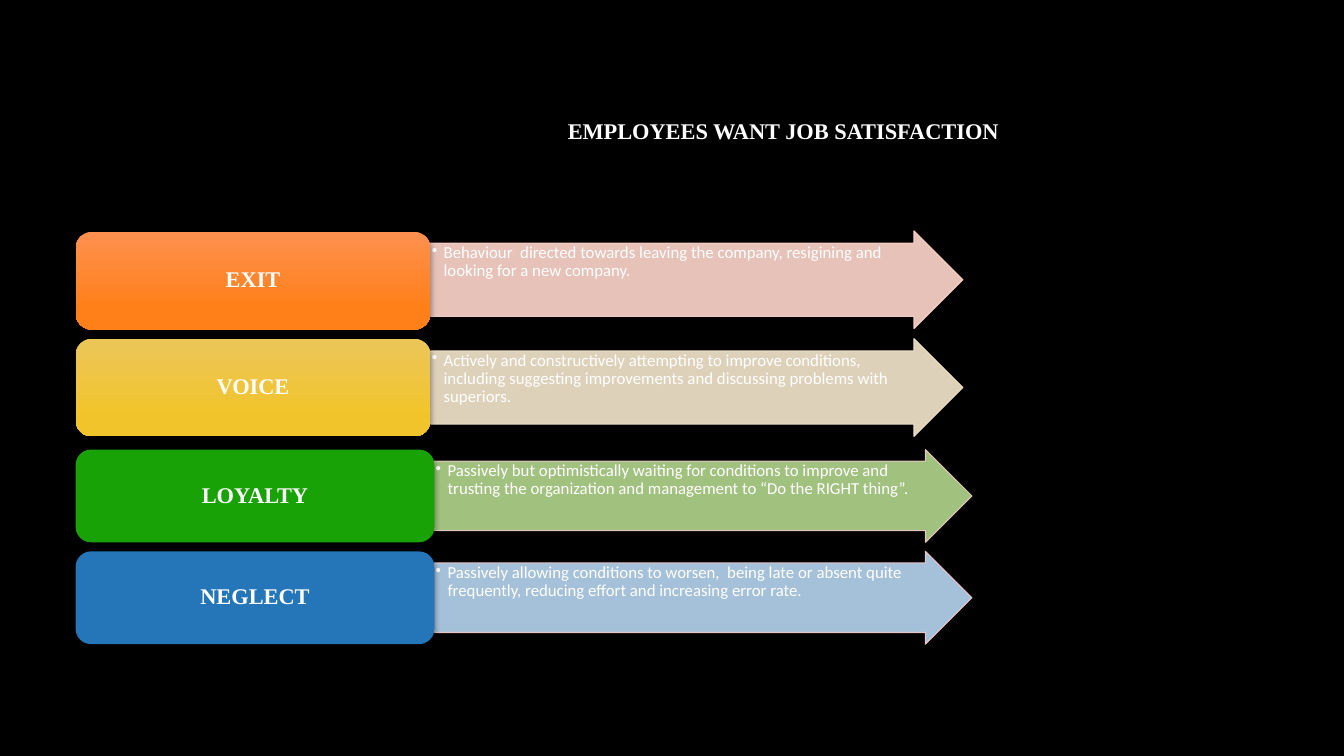
import pptx
import pptx.util
import pptx.dml.color
import pptx.enum.shapes
import pptx.enum.text
import pptx.oxml.ns
from lxml import etree

Inches, Pt = pptx.util.Inches, pptx.util.Pt
RGB = pptx.dml.color.RGBColor.from_string
SHAPE = pptx.enum.shapes.MSO_SHAPE
ANCHOR = pptx.enum.text.MSO_ANCHOR
ALIGN = pptx.enum.text.PP_ALIGN
qn = pptx.oxml.ns.qn

THEME = {
    "background": "000000", "text": "FFFFFF", "shadow": "000000",
    "heading_font": "Times New Roman", "body_font": "Calibri",
    "heading_size": 16, "body_size": 12, "outline": 0.75,
}
LEFT = 0.75

# Each pair of responses: box width, arrow width, row height,
# then first top and row pitch of the arrows and of the boxes
PAIRS = [
    (3.52, 5.28, 0.97, (2.29, 1.07), (2.30, 1.06)),
    (3.56, 5.33, 0.92, (4.46, 1.01), (4.46, 1.01)),
]
# Response, meaning, box colours (top to bottom), arrow fill, arrow outline
RESPONSES = [
    ("EXIT", "Behaviour  directed towards leaving the company, resigining and "
     "looking for a new company.", ("FE904F", "FF8019"), "FFD8CD", "FFD8CD"),
    ("VOICE", "Actively and constructively attempting to improve conditions, "
     "including suggesting improvements and discussing problems with superiors.",
     ("EBC659", "F2C42C"), "F7E8CE", "F7E8CE"),
    ("LOYALTY", "Passively but optimistically waiting for conditions to improve and "
     "trusting the organization and management to “Do the RIGHT thing”.",
     ("19A206",), "B3D78D", "F3CDCD"),
    ("NEGLECT", "Passively allowing conditions to worsen,  being late or absent quite "
     "frequently, reducing effort and increasing error rate.",
     ("2476B9",), "B7D7F1", "F3CDCD"),
]


def write(holder, words, role, align, anchor, insets):
    """Put one styled paragraph in a shape; insets are left, top, right, bottom."""
    frame = holder.text_frame
    frame.word_wrap = True
    frame.vertical_anchor = anchor
    (frame.margin_left, frame.margin_top,
     frame.margin_right, frame.margin_bottom) = map(Inches, insets)
    paragraph = frame.paragraphs[0]
    paragraph.alignment = align
    paragraph.line_spacing = 0.9
    run = paragraph.add_run()
    run.text = words
    run.font.name = THEME[role + "_font"]
    run.font.size = Pt(THEME[role + "_size"])
    run.font.bold = role == "heading"
    run.font.color.rgb = RGB(THEME["text"])
    return paragraph


deck = pptx.Presentation()
deck.slide_width, deck.slide_height = Inches(13.33), Inches(7.5)
slide = deck.slides.add_slide(deck.slide_layouts[6])
slide.background.fill.solid()
slide.background.fill.fore_color.rgb = RGB(THEME["background"])

# Title
title = slide.shapes.add_textbox(*map(Inches, (3.17, 0.84, 9.42, 0.76)))
write(title, "EMPLOYEES WANT JOB SATISFACTION", "heading", ALIGN.CENTER,
      ANCHOR.MIDDLE, (0.1, 0.23, 0.32, 0.05))

# Responses: an arrow with the meaning, starting at the box with the name
for index, (name, meaning, box_colours, arrow_fill, outline) in enumerate(RESPONSES):
    pair, row = divmod(index, 2)
    box_width, arrow_width, height, arrow_rows, box_rows = PAIRS[pair]
    arrow_top, box_top = (first + row * pitch for first, pitch in (arrow_rows, box_rows))

    # Arrow, slightly transparent
    arrow = slide.shapes.add_shape(SHAPE.RIGHT_ARROW, *map(
        Inches, (LEFT + box_width, arrow_top, arrow_width, height)))
    arrow.adjustments[0], arrow.adjustments[1] = 0.75, 0.5
    arrow.shadow.inherit = False
    arrow.fill.solid()
    arrow.fill.fore_color.rgb = RGB(arrow_fill)
    arrow.line.color.rgb = RGB(outline)
    arrow.line.width = Pt(THEME["outline"])
    for colour in arrow.element.spPr.iter(qn("a:srgbClr")):
        etree.SubElement(colour, qn("a:alpha"), val="90000")

    # Meaning as a bullet
    bullet = write(arrow, meaning, "body", ALIGN.LEFT, ANCHOR.TOP, (0.01,) * 4)
    bullet.level = 1
    properties = bullet._p.get_or_add_pPr()
    properties.set("marL", str(Inches(0.12)))
    properties.set("indent", str(Inches(-0.12)))
    etree.SubElement(properties, qn("a:buChar"), char="•")

    # Box, plain or shaded from top to bottom
    box = slide.shapes.add_shape(SHAPE.ROUNDED_RECTANGLE, *map(
        Inches, (LEFT, box_top, box_width, height)))
    box.line.fill.background()
    if len(box_colours) == 1:
        box.fill.solid()
        box.fill.fore_color.rgb = RGB(box_colours[0])
    else:
        box.fill.gradient()
        box.fill.gradient_angle = 270
        for stop, colour, position in zip(box.fill.gradient_stops, box_colours, (0, 0.78)):
            stop.color.rgb = RGB(colour)
            stop.position = position
    write(box, name, "heading", ALIGN.CENTER, ANCHOR.MIDDLE, (0.07, 0.03, 0.07, 0.03))

    # Soft shadow that falls on the arrow
    box.shadow.inherit = False
    effects = box.element.spPr.find(qn("a:effectLst"))
    shadow = etree.SubElement(effects, qn("a:outerShdw"), blurRad=str(Pt(4.5)),
                              dist=str(Pt(1.5)), dir="5400000", rotWithShape="0")
    shade = etree.SubElement(shadow, qn("a:srgbClr"), val=THEME["shadow"])
    etree.SubElement(shade, qn("a:alpha"), val="48000")

deck.save("out.pptx")
